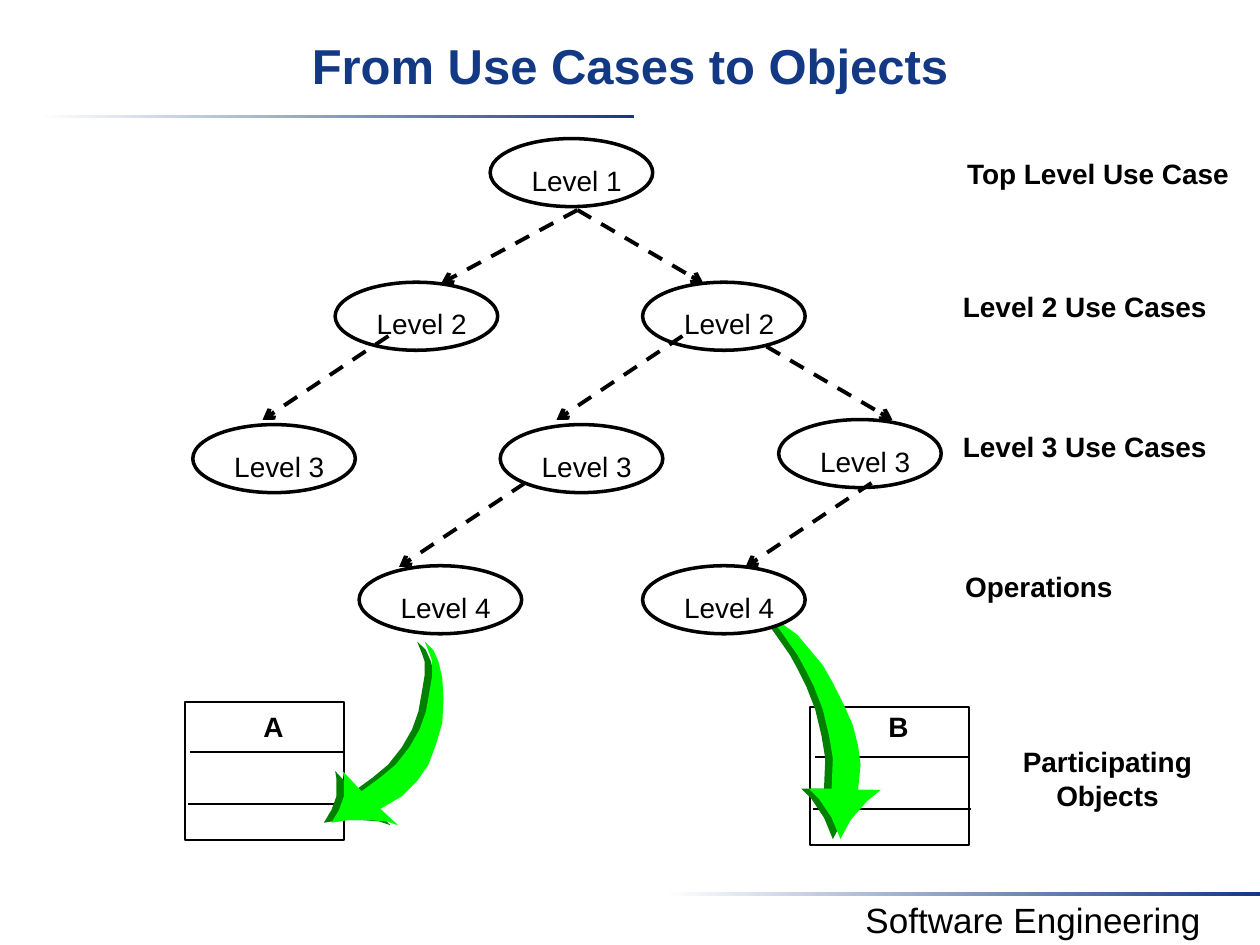
from dataclasses import dataclass

from lxml import etree
from pptx import Presentation
from pptx.dml.color import RGBColor
from pptx.enum.dml import MSO_LINE
from pptx.enum.shapes import MSO_CONNECTOR, MSO_SHAPE
from pptx.enum.text import MSO_ANCHOR, PP_ALIGN
from pptx.oxml.ns import qn
from pptx.util import Inches, Pt

STRAIGHT = MSO_CONNECTOR.STRAIGHT
OVAL = MSO_SHAPE.OVAL
RECTANGLE = MSO_SHAPE.RECTANGLE
DASH = MSO_LINE.DASH
CENTER = PP_ALIGN.CENTER
TOP, MIDDLE = MSO_ANCHOR.TOP, MSO_ANCHOR.MIDDLE

WIDTH, HEIGHT = Inches(10), Inches(7.5)
COLUMNS, ROWS = 120, 90
OUTLINE_UNIT = WIDTH / 1000


@dataclass(frozen=True)
class Theme:
    font: str = "Arial"
    ink: RGBColor = RGBColor(0, 0, 0)
    paper: RGBColor = RGBColor(255, 255, 255)
    accent: RGBColor = RGBColor(0x13, 0x39, 0x84)
    bright: RGBColor = RGBColor(0, 255, 0)
    shade: RGBColor = RGBColor(0, 128, 0)
    title_size: int = 28
    footer_size: int = 20
    body_size: int = 16
    thin: float = 1
    outline: float = 2
    dashed: float = 2.25


@dataclass(frozen=True)
class Area:
    column: float
    row: float
    columns: float
    rows: float

    def lengths(self) -> tuple[int, int, int, int]:
        return (across(self.column), down(self.row),
                across(self.columns), down(self.rows))


@dataclass(frozen=True)
class Label:
    text: str
    area: Area


@dataclass(frozen=True)
class UseCase:
    level: int
    column: float
    row: float


@dataclass(frozen=True)
class Link:
    start: tuple[float, float]
    end: tuple[float, float]


@dataclass(frozen=True)
class ClassBox:
    name: str
    column: float
    row: float


THEME = Theme()
RULES = [Area(3.72, 10.92, 56.64, 0.36), Area(63.36, 84.96, 56.64, 0.36)]
FOOTER = Label("Software Engineering", Area(76.8, 84.96, 43.2, 5.28))
LABELS = [
    Label("Top Level Use Case", Area(90.72, 14.28, 27.72, 4.44)),
    Label("Level 2 Use Cases", Area(90.36, 27, 25.92, 4.44)),
    Label("Level 3 Use Cases", Area(90.36, 40.32, 25.92, 4.44)),
    Label("Operations", Area(90.6, 53.64, 16.68, 4.44)),
    Label("Participating\nObjects", Area(96.12, 70.32, 18.72, 7.68)),
]
USE_CASES = [
    UseCase(1, 46.68, 13.2),
    UseCase(2, 31.92, 26.88), UseCase(2, 61.2, 26.88),
    UseCase(3, 18.36, 40.44), UseCase(3, 47.64, 40.44), UseCase(3, 74.16, 39.96),
    UseCase(4, 34.2, 53.88), UseCase(4, 61.2, 53.88),
]
LINKS = [
    Link((55, 20), (67, 27)), Link((73, 33), (85, 40)), Link((83, 46), (71, 54)),
    Link((65, 32), (53, 40)), Link((37, 32), (25, 40)), Link((50, 46), (38, 54)),
    Link((55, 20), (42, 27)),
]
CLASS_BOXES = [ClassBox("A", 17.64, 66.84), ClassBox("B", 77.16, 67.32)]
NAME_ROW = 66.96
SHADE_SHIFT = 6
ARROW_TO_B = [
    (604, 486), (614, 491), (622, 496), (633, 504), (643, 516), (653, 528),
    (661, 542), (670, 560), (677, 576), (681, 592), (683, 607), (681, 627),
    (699, 627), (688, 636), (675, 651), (667, 666), (660, 649), (650, 634),
    (642, 626), (660, 626), (661, 602), (658, 584), (653, 563), (646, 545),
    (639, 531), (633, 520), (626, 510), (619, 500), (611, 492),
]
ARROW_TO_A = [
    (337, 509), (344, 516), (348, 525), (351, 538), (352, 555), (351, 574),
    (346, 591), (340, 607), (331, 620), (319, 632), (302, 642), (316, 655),
    (307, 652), (294, 651), (276, 651), (263, 653), (269, 643), (273, 632),
    (273, 618), (272, 612), (287, 628), (302, 617), (314, 607), (325, 593),
    (333, 579), (338, 565), (341, 548), (343, 536), (343, 525), (341, 519),
]


def across(columns: float) -> int:
    return round(WIDTH * columns / COLUMNS)


def down(rows: float) -> int:
    return round(HEIGHT * rows / ROWS)


def write(frame, text: str, size: int, bold: bool = False,
          color: RGBColor = THEME.ink) -> None:
    frame.text = text
    for para in frame.paragraphs:
        para.alignment = CENTER
        para.font.name = THEME.font
        para.font.size = Pt(size)
        para.font.bold = bold
        para.font.color.rgb = color


def add_label(page, label: Label, size: int = THEME.body_size, bold: bool = True) -> None:
    frame = page.shapes.add_textbox(*label.area.lengths()).text_frame
    frame.word_wrap = False
    write(frame, label.text, size, bold)


def add_outlined(page, kind, area: Area, width: float):
    shape = page.shapes.add_shape(kind, *area.lengths())
    shape.shadow.inherit = False
    shape.fill.solid()
    shape.fill.fore_color.rgb = THEME.paper
    shape.line.color.rgb = THEME.ink
    shape.line.width = Pt(width)
    return shape


def add_rule(page, area: Area) -> None:
    rule = page.shapes.add_shape(RECTANGLE, *area.lengths())
    rule.shadow.inherit = False
    rule.line.fill.background()
    rule.fill.gradient()
    rule.fill.gradient_angle = 0
    for stop, color in zip(rule.fill.gradient_stops, (THEME.paper, THEME.accent)):
        stop.color.rgb = color


def add_line(page, link: Link, width: float):
    (left, top), (right, bottom) = link.start, link.end
    line = page.shapes.add_connector(
        STRAIGHT, across(left), down(top), across(right), down(bottom))
    line.line.color.rgb = THEME.ink
    line.line.width = Pt(width)
    etree.SubElement(line.element.spPr, qn("a:effectLst"))
    return line


def add_link(page, link: Link) -> None:
    line = add_line(page, link, THEME.dashed)
    line.line.dash_style = DASH
    etree.SubElement(line.line._get_or_add_ln(), qn("a:tailEnd"), type="arrow")


def add_use_case(page, case: UseCase) -> None:
    oval = add_outlined(page, OVAL, Area(case.column, case.row, 15.48, 6.48), THEME.outline)
    frame = oval.text_frame
    frame.word_wrap = False
    frame.vertical_anchor = MIDDLE
    frame.margin_left, frame.margin_right = across(1), 0
    frame.margin_top, frame.margin_bottom = down(1.4), 0
    write(frame, f"Level {case.level}", THEME.body_size)


def add_class_box(page, box: ClassBox) -> None:
    add_outlined(page, RECTANGLE, Area(box.column, box.row, 15.12, 13.2), THEME.thin)
    for start, end, drop in ((0.48, 15, 4.8), (0.24, 15.36, 9.72)):
        row = box.row + drop
        add_line(page, Link((box.column + start, row), (box.column + end, row)), THEME.thin)
    add_label(page, Label(box.name, Area(box.column + 6.24, NAME_ROW, 4.32, 4.44)))


def add_curved_arrow(page, points: list[tuple[int, int]]) -> None:
    group = page.shapes.add_group_shape()
    for shift, color in ((SHADE_SHIFT, THEME.shade), (0, THEME.bright)):
        corners = [(x - shift, y) for x, y in points]
        builder = group.shapes.build_freeform(*corners[0], scale=OUTLINE_UNIT)
        builder.add_line_segments(corners[1:], close=True)
        arrow = builder.convert_to_shape()
        arrow.shadow.inherit = False
        arrow.fill.solid()
        arrow.fill.fore_color.rgb = color
        arrow.line.fill.background()


def main() -> None:
    deck = Presentation()
    deck.slide_width, deck.slide_height = WIDTH, HEIGHT
    page = deck.slides.add_slide(deck.slide_layouts[5])
    title = page.shapes.title
    title.left, title.top, title.width, title.height = Area(0, 2.4, 120, 9).lengths()
    title.text_frame.vertical_anchor = TOP
    title.text_frame.margin_top = down(1)
    write(title.text_frame, "From Use Cases to Objects", THEME.title_size, True, THEME.accent)
    for rule in RULES:
        add_rule(page, rule)
    add_label(page, FOOTER, THEME.footer_size, False)
    for label in LABELS:
        add_label(page, label)
    for box in CLASS_BOXES:
        add_class_box(page, box)
    for points in (ARROW_TO_B, ARROW_TO_A):
        add_curved_arrow(page, points)
    for case in USE_CASES:
        add_use_case(page, case)
    for link in LINKS:
        add_link(page, link)
    deck.save("out.pptx")


if __name__ == "__main__":
    main()
